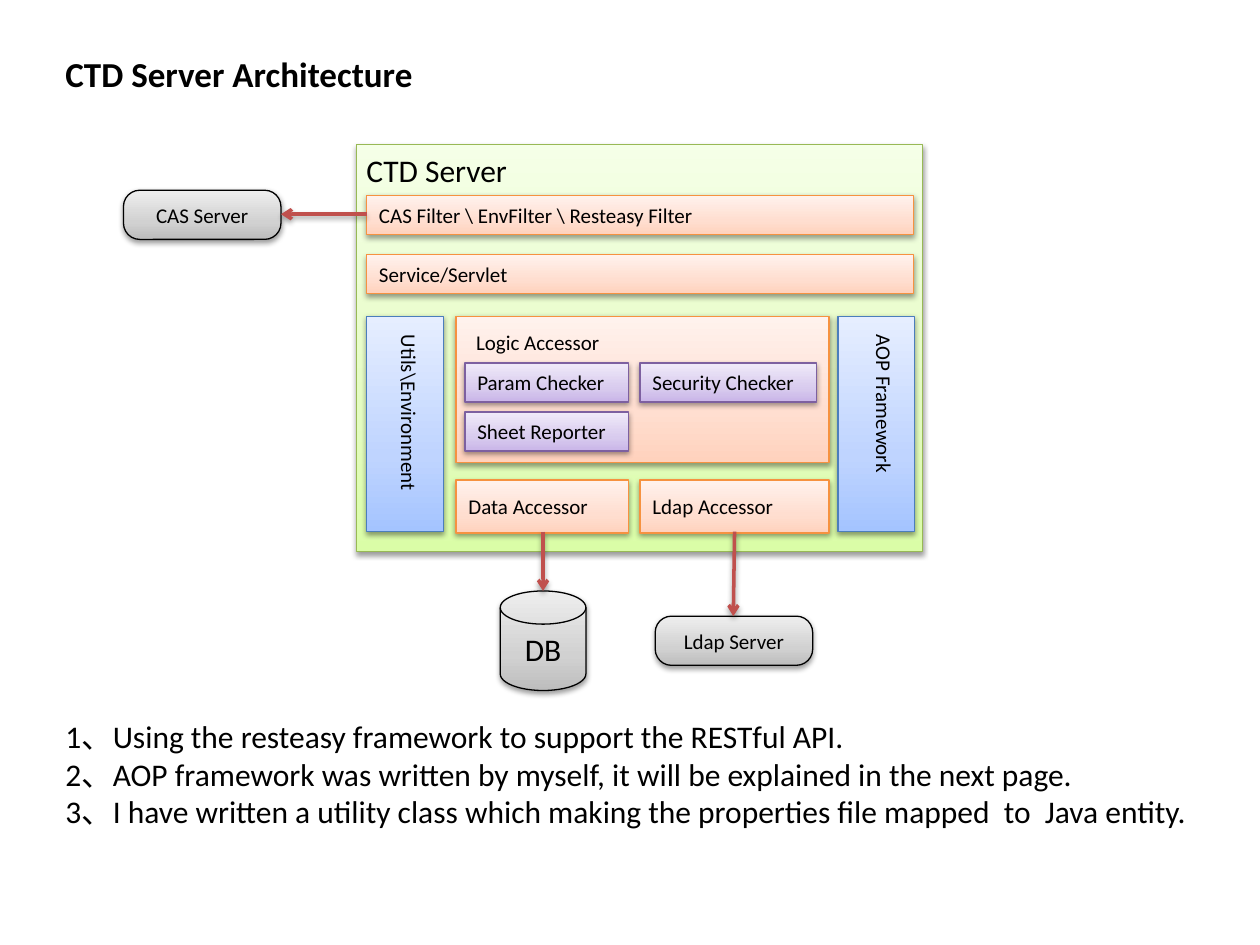
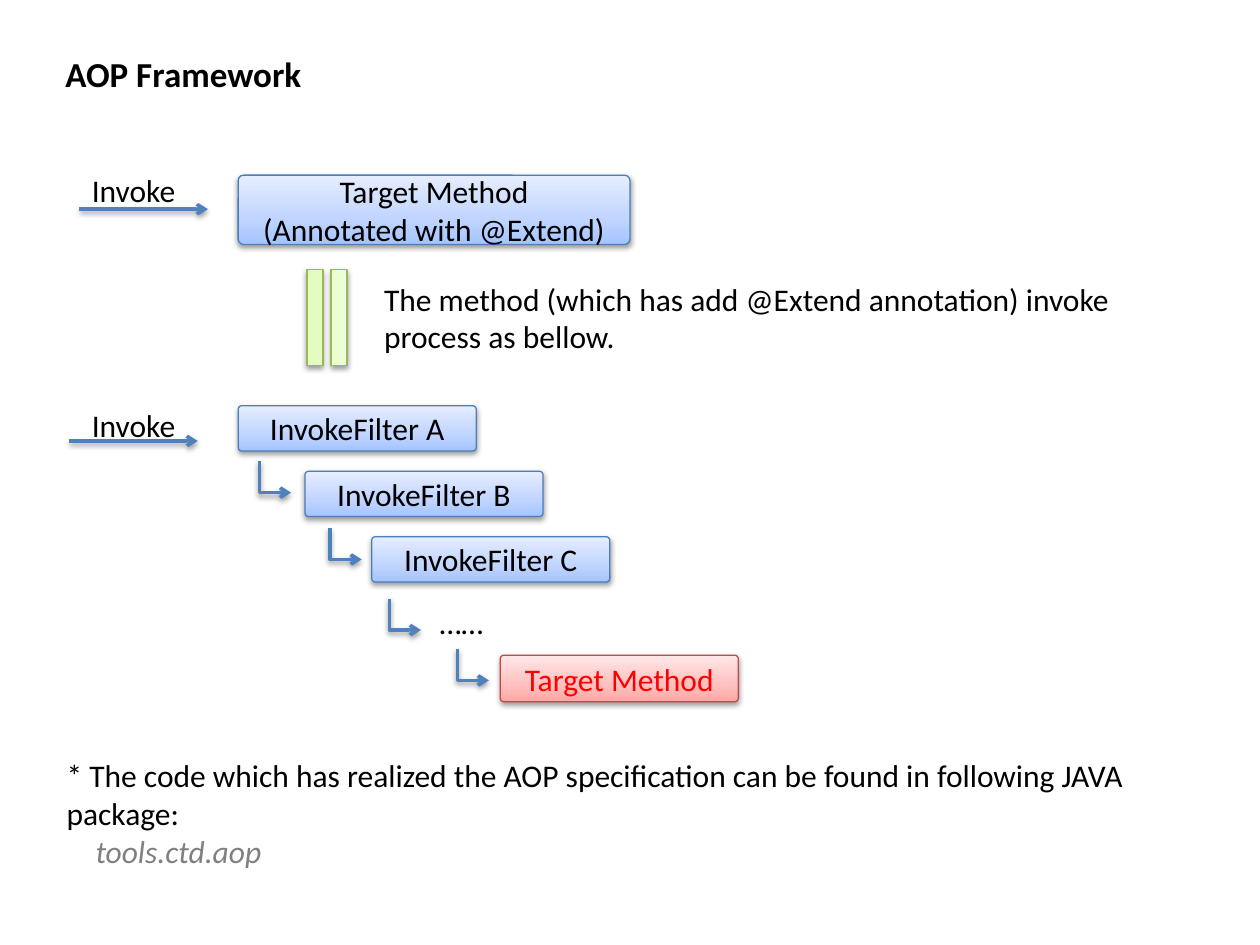
from lxml.etree import SubElement
from pptx import Presentation
from pptx.dml.color import RGBColor
from pptx.enum.shapes import MSO_CONNECTOR, MSO_SHAPE
from pptx.enum.text import MSO_ANCHOR, MSO_AUTO_SIZE, PP_ALIGN
from pptx.oxml.ns import qn
from pptx.util import Inches, Pt

FONT = "Calibri"
BLACK = RGBColor(0x00, 0x00, 0x00)
GREY = RGBColor(0x80, 0x80, 0x80)
RED = RGBColor(0xFF, 0x00, 0x00)
ARROW_RED = RGBColor(0xC0, 0x50, 0x4D)
ARROW_BLUE = RGBColor(0x4F, 0x81, 0xBD)

# Each theme: outline, then the gradient from bottom to top
GREEN_THEME = [RGBColor.from_string(c) for c in ("98B955", "DAFDA7", "E4FCC2", "F5FFE7")]
ORANGE_THEME = [RGBColor.from_string(c) for c in ("F69240", "FFD2BD", "FFDED0", "FFF2ED")]
PURPLE_THEME = [RGBColor.from_string(c) for c in ("7D60A0", "C9B5E8", "D8CBEE", "F0EAF9")]
BLUE_THEME = [RGBColor.from_string(c) for c in ("4B7EBC", "A4C4FF", "BFD4FF", "E6EEFF")]
GREY_THEME = [RGBColor.from_string(c) for c in ("000000", "BDBDBD", "D1D1D1", "EEEEEE")]
RED_THEME = [RGBColor.from_string(c) for c in ("BF4C48", "FFA6A5", "FFC0BF", "FFE7E7")]
GRADIENT_STOPS = (0, 35000, 100000)


class Painter:
    """Holds the shared style and draws on the current slide."""

    def __init__(self, deck):
        self.deck = deck
        self.slide = None

    def new_slide(self, title):
        self.slide = self.deck.slides.add_slide(self.deck.slide_layouts[6])
        self.text(0.42, 0.37, 3.4, 0.44, [title], size=20, bold=True)

    def fill_text(self, frame, lines, size, color=BLACK, bold=False, align=PP_ALIGN.LEFT):
        frame.word_wrap = True
        for number, line in enumerate(lines):
            para = frame.paragraphs[0] if number == 0 else frame.add_paragraph()
            para.alignment = align
            self.span(para, line, size, color, bold)

    def span(self, para, words, size, color=BLACK, bold=False, italic=False):
        span = para.add_run()
        span.text = words
        span.font.name = FONT
        span.font.size = Pt(size)
        span.font.bold = bold
        span.font.italic = italic
        span.font.color.rgb = color

    def shadow(self, element):
        effects = SubElement(element.spPr, qn("a:effectLst"))
        outer = SubElement(effects, qn("a:outerShdw"), blurRad="40000", dist="20000",
                           dir="5400000", rotWithShape="0")
        color = SubElement(outer, qn("a:srgbClr"), val="000000")
        SubElement(color, qn("a:alpha"), val="38000")

    def text(self, left, top, width, height, lines, size=18, bold=False, vertical=False):
        box = self.slide.shapes.add_textbox(Inches(left), Inches(top), Inches(width), Inches(height))
        frame = box.text_frame
        self.fill_text(frame, lines, size, bold=bold)
        frame.auto_size = MSO_AUTO_SIZE.SHAPE_TO_FIT_TEXT
        if vertical:
            box.element.txBody.find(qn("a:bodyPr")).set("vert", "eaVert")
        return box

    def shape(self, left, top, width, height, theme, lines=(), kind=MSO_SHAPE.RECTANGLE,
              size=12, color=BLACK, align=PP_ALIGN.LEFT, corner=None):
        shape = self.slide.shapes.add_shape(
            kind, Inches(left), Inches(top), Inches(width), Inches(height))
        if corner is not None:
            shape.adjustments[0] = corner
        outline, *tints = theme
        shape.line.color.rgb = outline
        shape.line.width = Pt(0.75)
        shape.fill.gradient()
        shape.fill.gradient_angle = 90
        stops = shape.element.spPr.find(".//" + qn("a:gsLst"))
        stops.clear()
        for position, tint in zip(GRADIENT_STOPS, tints):
            stop = SubElement(stops, qn("a:gs"), pos=str(position))
            SubElement(stop, qn("a:srgbClr"), val=str(tint))
        self.shadow(shape.element)
        shape.text_frame.vertical_anchor = MSO_ANCHOR.MIDDLE
        self.fill_text(shape.text_frame, lines, size, color, align=align)
        return shape

    def server(self, left, top, name):
        self.shape(left, top, 1.25, 0.39, GREY_THEME, [name], MSO_SHAPE.ROUNDED_RECTANGLE,
                   align=PP_ALIGN.CENTER, corner=0.33)

    def step(self, left, top, width, height, lines, theme=BLUE_THEME, color=BLACK):
        self.shape(left, top, width, height, theme, lines, MSO_SHAPE.ROUNDED_RECTANGLE,
                   size=18, color=color, align=PP_ALIGN.CENTER, corner=0.08)

    def arrow(self, start, end, color, kind=MSO_CONNECTOR.STRAIGHT):
        arrow = self.slide.shapes.add_connector(
            kind, *(Inches(value) for value in (*start, *end)))
        arrow.line.color.rgb = color
        arrow.line.width = Pt(2)
        outline = arrow.element.spPr.find(qn("a:ln"))
        SubElement(outline, qn("a:tailEnd"), type="arrow")
        self.shadow(arrow.element)
        return arrow

    def elbow(self, left, top, side=0.25):
        """Goes down, then right, inside a square."""
        elbow = self.arrow((left, top), (left + side, top + side), ARROW_BLUE, MSO_CONNECTOR.ELBOW)
        properties = elbow.element.spPr
        properties.find(qn("a:prstGeom")).set("prst", "bentConnector2")
        turn = properties.find(qn("a:xfrm"))
        turn.set("rot", "16200000")
        turn.set("flipH", "1")


deck = Presentation()
deck.slide_width, deck.slide_height = Inches(10), Inches(7.5)
painter = Painter(deck)

# Slide 1: server architecture
painter.new_slide("CTD Server Architecture")
painter.shape(2.83, 1.15, 4.49, 3.23, GREEN_THEME)
painter.text(2.81, 1.15, 1.43, 0.4, ["CTD Server"])

# Request layers
for top, name in ((1.55, "CAS Filter \\ EnvFilter \\ Resteasy Filter"), (2.02, "Service/Servlet")):
    painter.shape(2.91, top, 4.34, 0.31, ORANGE_THEME, [name])

# Logic block with its helpers
painter.shape(3.62, 2.51, 2.96, 1.16, ORANGE_THEME)
painter.text(3.68, 2.57, 2.45, 0.3, ["Logic Accessor"], size=12)
for left, top, width, name in ((3.69, 2.88, 1.3, "Param Checker"),
                               (5.08, 2.88, 1.4, "Security Checker"),
                               (3.69, 3.27, 1.3, "Sheet Reporter")):
    painter.shape(left, top, width, 0.31, PURPLE_THEME, [name])

# Side columns
for left, text_left, name in ((2.91, 3.0, "Utils\\Environment"), (6.65, 6.77, "AOP Framework")):
    painter.shape(left, 2.51, 0.61, 1.71, BLUE_THEME)
    painter.text(text_left, 2.56, 0.4, 1.65, [name], size=12, vertical=True)

# Accessors and outside systems
for left, width, name in ((3.62, 1.37, "Data Accessor"), (5.08, 1.5, "Ldap Accessor")):
    painter.shape(left, 3.81, width, 0.42, ORANGE_THEME, [name])
painter.shape(3.97, 4.69, 0.68, 0.79, GREY_THEME, ["DB"], MSO_SHAPE.FLOWCHART_MAGNETIC_DISK,
              size=18, align=PP_ALIGN.CENTER)
painter.server(5.2, 4.89, "Ldap Server")
painter.server(0.98, 1.51, "CAS Server")
for start, end in (((4.31, 4.22), (4.31, 4.69)),
                   ((5.83, 4.22), (5.82, 4.89)),
                   ((2.91, 1.7), (2.23, 1.7))):
    painter.arrow(start, end, ARROW_RED)

painter.text(0.42, 5.64, 9.22, 1.01, [
    "1、Using the resteasy framework to support the RESTful API.",
    "2、AOP framework was written by myself, it will be explained in the next page.",
    "3、I have written a utility class which making the properties file mapped  to  Java entity.",
])

# Slide 2: interception chain
painter.new_slide("AOP Framework")
painter.step(1.89, 1.39, 3.11, 0.55, ["Target Method", "(Annotated with @Extend)"])
for left, line_top, text_top in ((0.63, 1.66, 1.31), (0.55, 3.5, 3.17)):
    painter.arrow((left, line_top), (left + 1.02, line_top), ARROW_BLUE)
    painter.text(0.63, text_top, 1.18, 0.4, ["Invoke"])

# Equivalence sign and its explanation
equal_sign = painter.shape(2.08, 2.25, 1.03, 0.54, GREEN_THEME, kind=MSO_SHAPE.MATH_EQUAL)
equal_sign.rotation = 90
painter.text(2.95, 2.17, 5.99, 0.71,
             ["The method (which has add @Extend annotation) invoke process as bellow."])

# Filters step down to the target
for number, letter in enumerate("ABC"):
    painter.step(1.89 + 0.53 * number, 3.22 + 0.52 * number, 1.89, 0.36, [f"InvokeFilter {letter}"])
painter.text(3.39, 4.74, 1.81, 0.4, ["……"])
painter.step(3.97, 5.2, 1.89, 0.37, ["Target Method"], RED_THEME, RED)
for left, top in ((2.06, 3.66), (2.62, 4.19), (3.09, 4.75), (3.63, 5.15)):
    painter.elbow(left, top)

# Where the code lives
note = painter.text(0.43, 5.95, 9.29, 1.01, [
    "* The code which has realized the AOP specification can be found in following JAVA package:"])
package_line = note.text_frame.add_paragraph()
package_line._p.get_or_add_pPr().set("marL", str(Inches(0.23)))
painter.span(package_line, "tools.ctd.aop", 18, GREY, italic=True)

deck.save("out.pptx")
